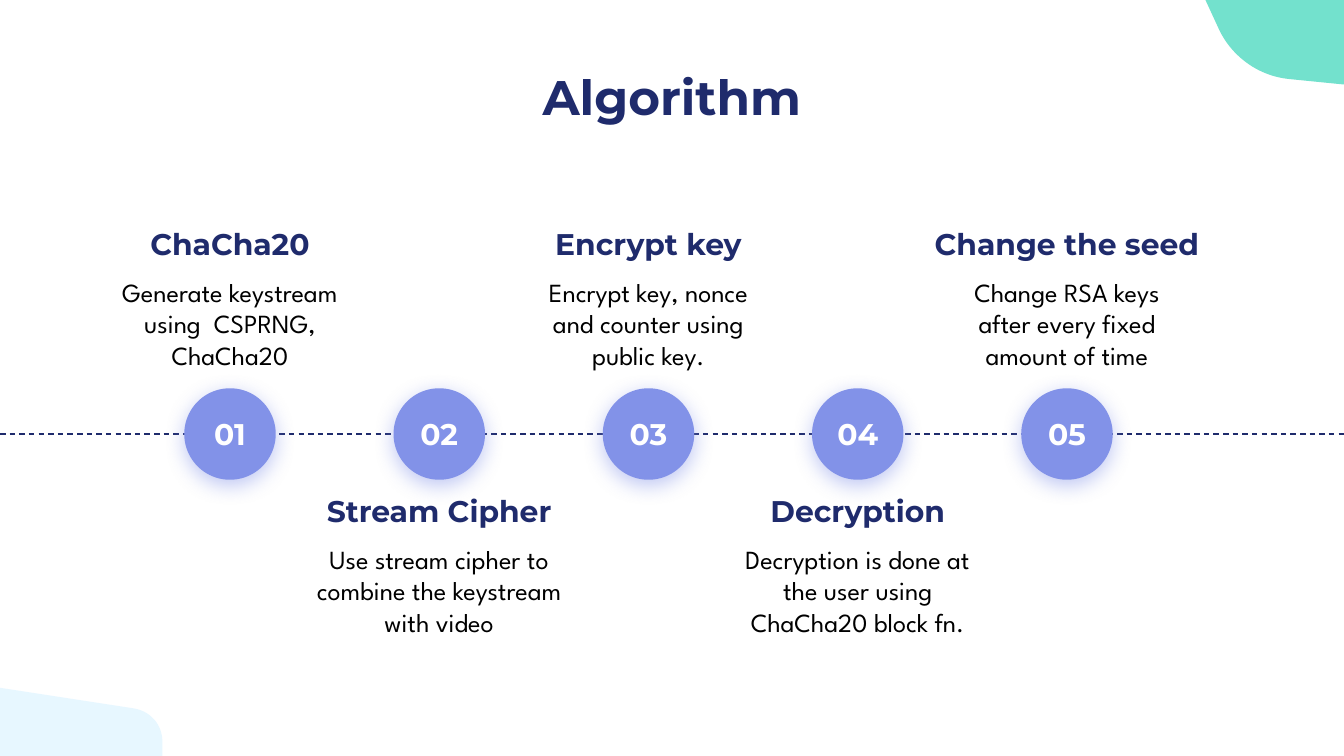
from lxml.etree import SubElement
from pptx import Presentation
from pptx.dml.color import RGBColor
from pptx.enum.dml import MSO_LINE
from pptx.enum.shapes import MSO_CONNECTOR, MSO_SHAPE
from pptx.enum.text import MSO_ANCHOR, MSO_AUTO_SIZE, PP_ALIGN
from pptx.oxml.ns import qn
from pptx.util import Pt

NAVY, BLUE, MINT, PALE = "1F2B6C", "8292E8", "73E1CD", "E7F7FF"
WHITE, BLACK = "FFFFFF", "000000"
HEAD_FONT, BODY_FONT = "Montserrat", "League Spartan"

TITLE = "Algorithm"
# heading, heading width, description, description width
STEPS = [
    ("ChaCha20", 135, "Generate keystream using  CSPRNG, ChaCha20", 145),
    ("Stream Cipher", 140, "Use stream cipher to combine the keystream with video", 149),
    ("Encrypt key", 135, "Encrypt key, nonce and counter using public key.", 135),
    ("Decryption", 135, "Decryption is done at the user using ChaCha20 block fn.", 135),
    ("Change the seed", 167, "Change RSA keys after every fixed amount of time", 135),
]
# colour, straight points before the curve, Bezier curve, straight points after
CORNERS = [
    (PALE, [(0, 368.5), (0, 405), (87, 405)],
     [(87, 397.5), (87, 388), (80.5, 381), (71.5, 379.5)], []),
    (MINT, [(720, 45.3), (720, 0), (645.8, 0)],
     [(652.5, 14.5), (659, 29.5), (673.5, 40.5), (690, 42.3)], []),
]

WIDTH, HEIGHT = 720, 405
FIRST_X, STEP_X = 123.2, 112.1
LINE_Y, DIAMETER = 232.5, 49
HEAD_H, BODY_H, BODY_DROP = 33, 67.5, 27
TOP_ABOVE, TOP_BELOW = 113.8, 256.8


def rgb(value):
    return RGBColor.from_string(value)


def write(shape, text, size, font, color, bold=True, anchor=MSO_ANCHOR.TOP, inset=7.2):
    tf = shape.text_frame
    tf.word_wrap = True
    tf.auto_size = MSO_AUTO_SIZE.NONE
    tf.vertical_anchor = anchor
    tf.margin_left = tf.margin_right = tf.margin_top = tf.margin_bottom = Pt(inset)
    p = tf.paragraphs[0]
    p.text = text
    p.alignment = PP_ALIGN.CENTER
    p.font.size, p.font.name, p.font.bold = Pt(size), font, bold
    p.font.color.rgb = rgb(color)


def paint(shape, color):
    shape.shadow.inherit = False
    shape.fill.solid()
    shape.fill.fore_color.rgb = rgb(color)
    shape.line.fill.background()


def add_glow(shape, color):
    """Soft shadow straight below the shape."""
    effects = shape._element.spPr.find(qn("a:effectLst"))
    shadow = SubElement(effects, qn("a:outerShdw"), blurRad=str(Pt(11.2)),
                        dist=str(Pt(3)), dir="5400000", algn="bl", rotWithShape="0")
    clr = SubElement(shadow, qn("a:srgbClr"), val=color)
    SubElement(clr, qn("a:alpha"), val="50000")


def bezier(a, b, c, d, steps=24):
    for i in range(steps + 1):
        t = i / steps
        u = 1 - t
        yield tuple(u**3 * e + 3 * u * u * t * f + 3 * u * t * t * g + t**3 * h
                    for e, f, g, h in zip(a, b, c, d))


def add_corner(s, color, before, curve, after):
    points = [(Pt(x), Pt(y)) for x, y in [*before, *bezier(*curve), *after]]
    builder = s.shapes.build_freeform(*points[0])
    builder.add_line_segments(points[1:], close=True)
    paint(builder.convert_to_shape(), color)


def add_text(s, center, top, width, height, *style):
    box = s.shapes.add_textbox(Pt(center - width / 2), Pt(top), Pt(width), Pt(height))
    write(box, *style)


def add_step(s, index, heading, head_w, body, body_w):
    center = FIRST_X + index * STEP_X
    top = TOP_BELOW if index % 2 else TOP_ABOVE
    add_text(s, center, top, head_w, HEAD_H, heading, 16, HEAD_FONT, NAVY)
    add_text(s, center, top + BODY_DROP, body_w, BODY_H, body, 14, BODY_FONT, BLACK, False)
    circle = s.shapes.add_shape(MSO_SHAPE.OVAL, Pt(center - DIAMETER / 2),
                                Pt(LINE_Y - DIAMETER / 2), Pt(DIAMETER), Pt(DIAMETER))
    paint(circle, BLUE)
    add_glow(circle, BLUE)
    write(circle, f"{index + 1:02}", 16, HEAD_FONT, WHITE, True, MSO_ANCHOR.MIDDLE, 0)


def main():
    prs = Presentation()
    prs.slide_width, prs.slide_height = Pt(WIDTH), Pt(HEIGHT)
    s = prs.slides.add_slide(prs.slide_layouts[5])

    title = s.shapes.title
    title.left, title.top, title.width, title.height = Pt(56), Pt(28.8), Pt(608), Pt(45)
    write(title, TITLE, 26, HEAD_FONT, NAVY)

    for corner in CORNERS:
        add_corner(s, *corner)

    axis = s.shapes.add_connector(MSO_CONNECTOR.STRAIGHT, 0, Pt(LINE_Y), Pt(WIDTH), Pt(LINE_Y))
    axis.line.color.rgb = rgb(NAVY)
    axis.line.width = Pt(0.75)
    axis.line.dash_style = MSO_LINE.DASH
    SubElement(axis._element.spPr, qn("a:effectLst"))

    for index, step in enumerate(STEPS):
        add_step(s, index, *step)
    prs.save("out.pptx")


if __name__ == "__main__":
    main()
